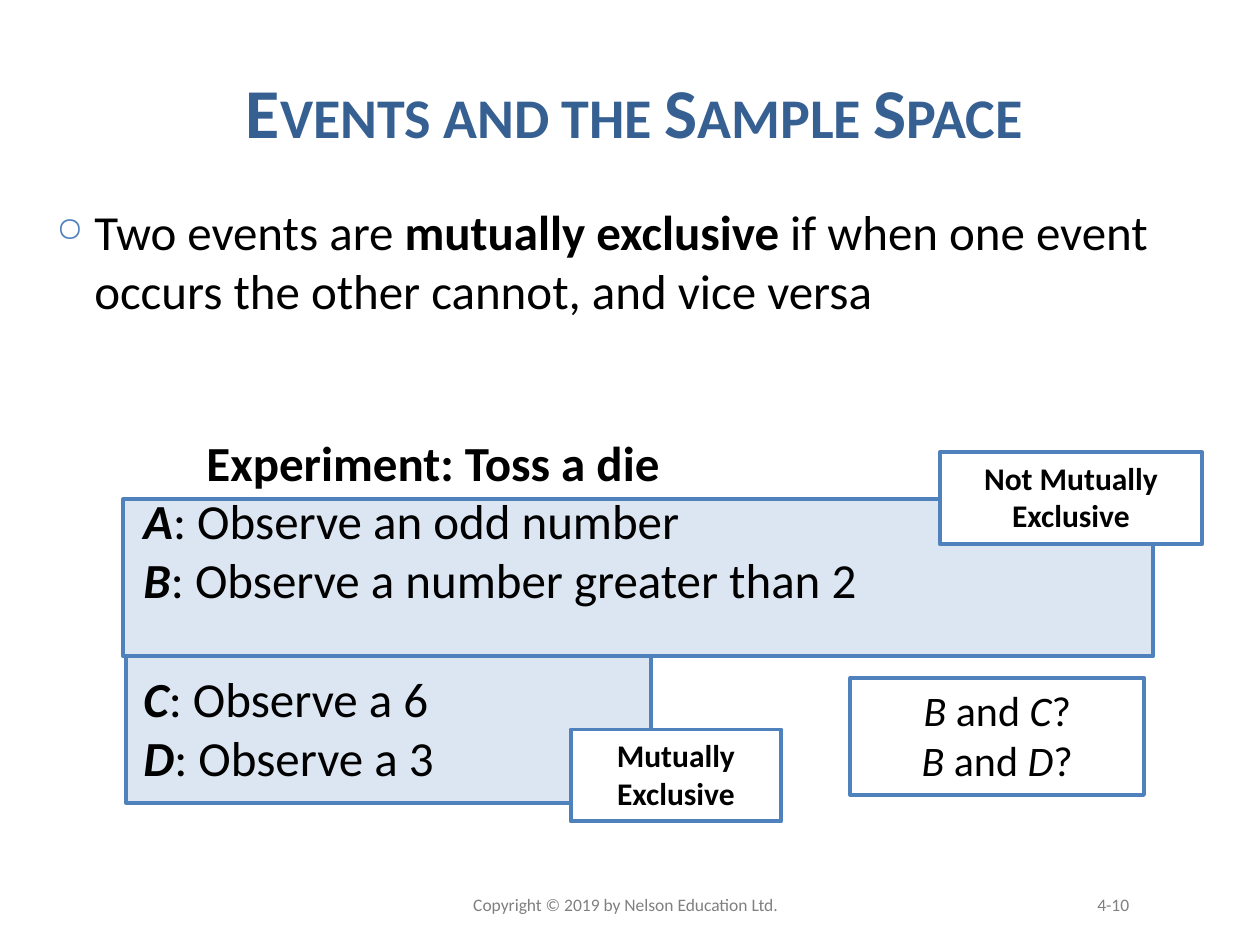
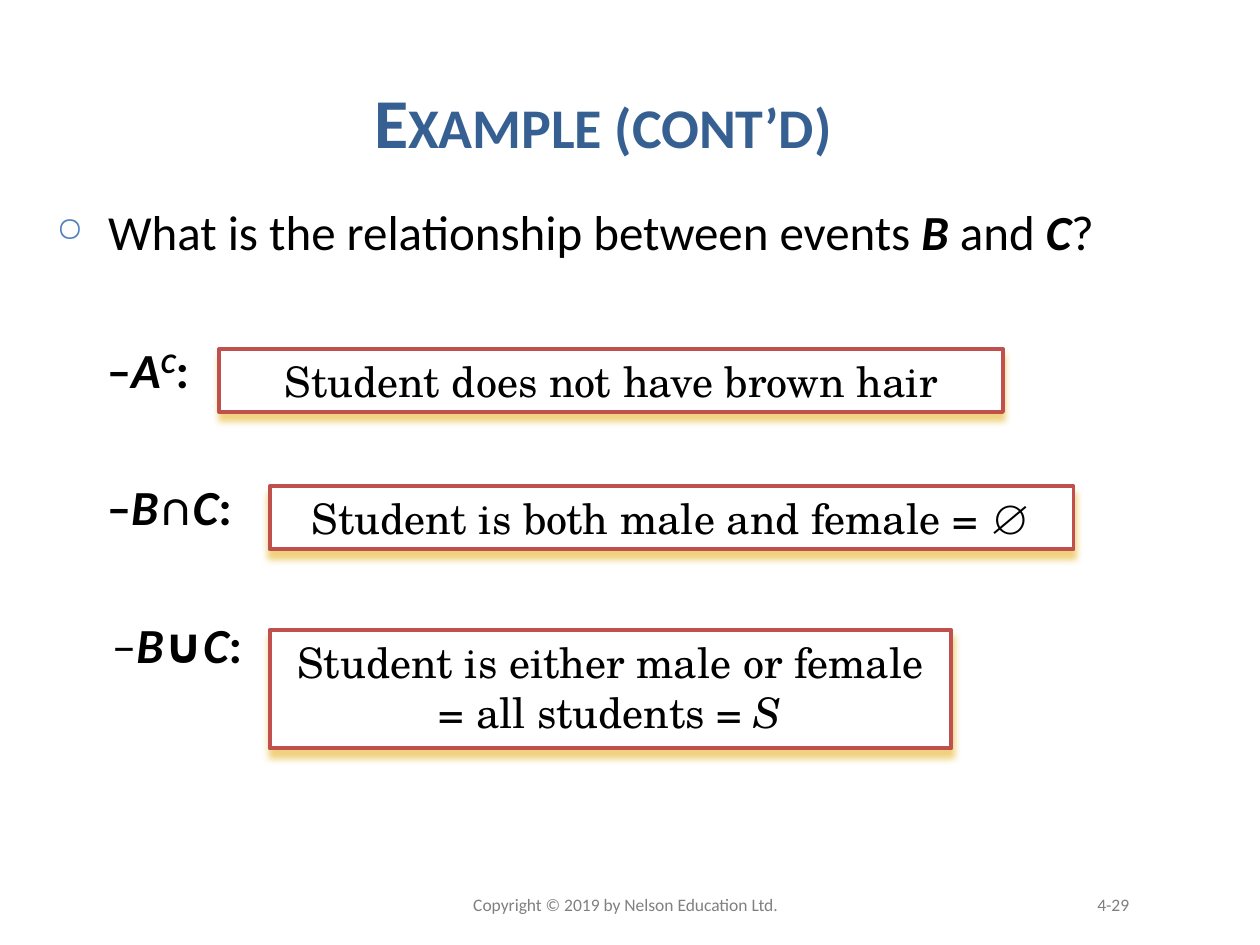
from dataclasses import dataclass, field
from typing import Any, Optional

from lxml.etree import SubElement
from pptx import Presentation
from pptx.dml.color import RGBColor
from pptx.enum.shapes import MSO_SHAPE
from pptx.enum.text import MSO_ANCHOR, PP_ALIGN
from pptx.oxml.ns import qn
from pptx.slide import Slide
from pptx.util import Inches, Pt


@dataclass(frozen=True)
class Theme:
    sans: str = "Calibri"
    serif: str = "TeX Gyre Schola"
    title: str = "376092"
    text: str = "000000"
    accent: str = "4F81BD"
    panel: str = "DCE6F2"
    answer: str = "C0504D"
    glow: str = "F0D27E"
    paper: str = "FFFFFF"
    muted: str = "808080"
    title_size: int = 40
    body_size: int = 28
    answer_size: int = 24
    tag_size: int = 18
    footer_size: int = 10
    line_width: float = 2.25


THEME = Theme()


@dataclass(frozen=True)
class Run:
    text: str
    format: dict[str, Any] = field(default_factory=dict)
    attributes: dict[str, str] = field(default_factory=dict)


@dataclass(frozen=True)
class Line:
    """One paragraph; margin and hanging are in inches, space_before in points."""
    runs: list[Run]
    space_before: float = 0
    margin: float = 0
    hanging: float = 0
    bullet: str = ""


@dataclass(frozen=True)
class TextStyle:
    size: int
    color: str = THEME.text
    font: str = THEME.sans
    align: PP_ALIGN = PP_ALIGN.LEFT
    anchor: MSO_ANCHOR = MSO_ANCHOR.TOP
    margins: dict[str, float] = field(default_factory=dict)


@dataclass(frozen=True)
class Box:
    left: float
    top: float
    width: float
    height: float
    lines: list[Line] = field(default_factory=list)
    fill: str = THEME.paper
    outline: str = THEME.accent
    glow: bool = False

    @property
    def frame(self) -> tuple[int, ...]:
        return tuple(Inches(value) for value in (self.left, self.top, self.width, self.height))


BOLD = {"bold": True}
ITALIC = {"italic": True}
BOLD_ITALIC = BOLD | ITALIC
TITLE = TextStyle(THEME.title_size, THEME.title, align=PP_ALIGN.CENTER, anchor=MSO_ANCHOR.BOTTOM)
BODY = TextStyle(THEME.body_size)
EXPERIMENT = TextStyle(THEME.body_size, margins={"margin_top": 0.18})
TAG = TextStyle(THEME.tag_size, align=PP_ALIGN.CENTER)
QUESTION = TextStyle(THEME.answer_size, align=PP_ALIGN.CENTER)
ANSWER = TextStyle(THEME.answer_size, font=THEME.serif, align=PP_ALIGN.CENTER)
COPYRIGHT = TextStyle(THEME.footer_size, THEME.muted, align=PP_ALIGN.CENTER,
                      anchor=MSO_ANCHOR.MIDDLE, margins={"margin_right": 0.16})
PAGE_NUMBER = TextStyle(THEME.footer_size, THEME.muted, align=PP_ALIGN.RIGHT,
                        anchor=MSO_ANCHOR.MIDDLE)


def add_bullet(properties, character: str) -> None:
    color = SubElement(properties, qn("a:buClr"))
    SubElement(color, qn("a:srgbClr"), val=THEME.accent)
    SubElement(properties, qn("a:buSzPct"), val="70000")
    SubElement(properties, qn("a:buChar"), char=character)


def write_text(shape, lines: list[Line], style: TextStyle) -> None:
    frame = shape.text_frame
    frame.word_wrap = True
    frame.vertical_anchor = style.anchor
    for name, value in style.margins.items():
        setattr(frame, name, Inches(value))
    for index, line in enumerate(lines):
        paragraph = frame.add_paragraph() if index else frame.paragraphs[0]
        properties = paragraph._p.get_or_add_pPr()
        properties.set("marL", str(Inches(line.margin)))
        properties.set("indent", str(-Inches(line.hanging)))
        if line.bullet:
            add_bullet(properties, line.bullet)
        paragraph.alignment = style.align
        paragraph.space_before = Pt(line.space_before)
        for part in line.runs:
            run = paragraph.add_run()
            run.text = part.text
            base = {"name": style.font, "size": Pt(style.size), "bold": False, "italic": False}
            for name, value in (base | part.format).items():
                setattr(run.font, name, value)
            run.font.color.rgb = RGBColor.from_string(style.color)
            for name, value in part.attributes.items():
                run._r.get_or_add_rPr().set(name, value)


def add_text(slide: Slide, box: Box, style: TextStyle) -> None:
    write_text(slide.shapes.add_textbox(*box.frame), box.lines, style)


def add_glow(shape) -> None:
    """Give the shape a soft coloured shadow just below it."""
    effects = shape._element.spPr.find(qn("a:effectLst"))
    shadow = SubElement(effects, qn("a:outerShdw"), blurRad=str(Pt(4)), dist=str(Pt(4)),
                        dir=str(90 * 60000), algn="ctr", rotWithShape="0")
    SubElement(shadow, qn("a:srgbClr"), val=THEME.glow)


def add_box(slide: Slide, box: Box, style: Optional[TextStyle] = None) -> None:
    shape = slide.shapes.add_shape(MSO_SHAPE.RECTANGLE, *box.frame)
    shape.shadow.inherit = False
    shape.fill.solid()
    shape.fill.fore_color.rgb = RGBColor.from_string(box.fill)
    shape.line.color.rgb = RGBColor.from_string(box.outline)
    shape.line.width = Pt(THEME.line_width)
    if box.glow:
        add_glow(shape)
    if style:
        write_text(shape, box.lines, style)


def start_slide(presentation, title: str, title_frame: tuple[float, ...], page: str,
                body: list[Line]) -> Slide:
    """Add a slide with its title, body text and footer."""
    slide = presentation.slides.add_slide(presentation.slide_layouts[6])
    heading = Line([Run(title, BOLD, {"cap": "small"})])
    add_text(slide, Box(*title_frame, [heading]), TITLE)
    add_text(slide, Box(0.35, 1.55, 9.13, 5.33, body), BODY)
    notice = Line([Run("Copyright © 2019 by Nelson Education Ltd.")])
    add_text(slide, Box(3.41, 6.98, 3.17, 0.4, [notice]), COPYRIGHT)
    add_text(slide, Box(6.73, 6.98, 2.33, 0.4, [Line([Run(page)])]), PAGE_NUMBER)
    return slide


def event_line(event: str, meaning: str, space_before: float = 0) -> Line:
    return Line([Run(event, BOLD_ITALIC), Run(f": {meaning}")], space_before, margin=0.5)


def question_line(first: str, second: str) -> Line:
    return Line([Run(first, ITALIC), Run(" and "), Run(second, ITALIC), Run("?")])


def add_events_slide(presentation) -> None:
    definition = Line([
        Run("Two events are "), Run("mutually exclusive ", BOLD),
        Run("if when one event occurs the other cannot, and vice versa"),
    ], margin=0.3, hanging=0.3, bullet="○")
    slide = start_slide(presentation, "Events and the Sample Space", (0.35, 0.13, 9.37, 1.13),
                        "4-10", [definition])
    for panel in (Box(1, 5.12, 4.17, 1.25, fill=THEME.panel),
                  Box(0.98, 3.96, 8.17, 1.25, fill=THEME.panel)):
        add_box(slide, panel)
    experiment = [
        Line([Run("Experiment: Toss a die", BOLD)], margin=1),
        event_line("A", "Observe an odd number"),
        event_line("B", "Observe a number greater than 2"),
        event_line("C", "Observe a 6", space_before=THEME.body_size * 1.22),
        event_line("D", "Observe a 3"),
    ]
    add_text(slide, Box(0.54, 3.25, 8.92, 3.04, experiment), EXPERIMENT)
    for frame, verdict in (((7.46, 3.59, 2.08, 0.73), "Not Mutually Exclusive"),
                           ((4.53, 5.79, 1.67, 0.73), "Mutually Exclusive")):
        add_box(slide, Box(*frame, [Line([Run(verdict, BOLD)])]), TAG)
    questions = [question_line("B", "C"), question_line("B", "D")]
    add_box(slide, Box(6.75, 5.38, 2.33, 0.93, questions), QUESTION)


def set_line(dash: Run, symbols: list[Run], margin: float = 0.4) -> Line:
    return Line([dash, *symbols, Run(":", BOLD)], space_before=45, margin=margin)


def add_example_slide(presentation) -> None:
    event_b, event_c = Run("B", BOLD_ITALIC), Run("C", BOLD_ITALIC)
    complement = Run("C", BOLD_ITALIC, {"baseline": "30000"})
    bold_dash = Run("–", BOLD)
    body = [
        Line([Run("What is the relationship between events "), event_b, Run(" and "),
              event_c, Run("?")], margin=0.41, hanging=0.41, bullet="○"),
        set_line(bold_dash, [Run("A", BOLD_ITALIC), complement]),
        set_line(bold_dash, [event_b, Run("∩", BOLD), event_c]),
        set_line(Run("–"), [event_b, Run("∪", BOLD), event_c], margin=0.44),
    ]
    slide = start_slide(presentation, "Example (cont’d)", (0.5, 0.21, 8.57, 1.13), "4-29", body)
    answers = [
        ((1.74, 2.77, 6.22, 0.5), [Run("Student does not have brown hair")]),
        ((2.14, 3.86, 6.38, 0.5), [Run("Student is both male and female = ∅")]),
        ((2.14, 5, 5.41, 0.94),
         [Run("Student is either male or female = all students = "), Run("S", ITALIC)]),
    ]
    for frame, runs in answers:
        add_box(slide, Box(*frame, [Line(runs)], outline=THEME.answer, glow=True), ANSWER)


def main() -> None:
    presentation = Presentation()
    presentation.slide_width = Inches(10)
    presentation.slide_height = Inches(7.5)
    add_events_slide(presentation)
    add_example_slide(presentation)
    presentation.save("out.pptx")


if __name__ == "__main__":
    main()
